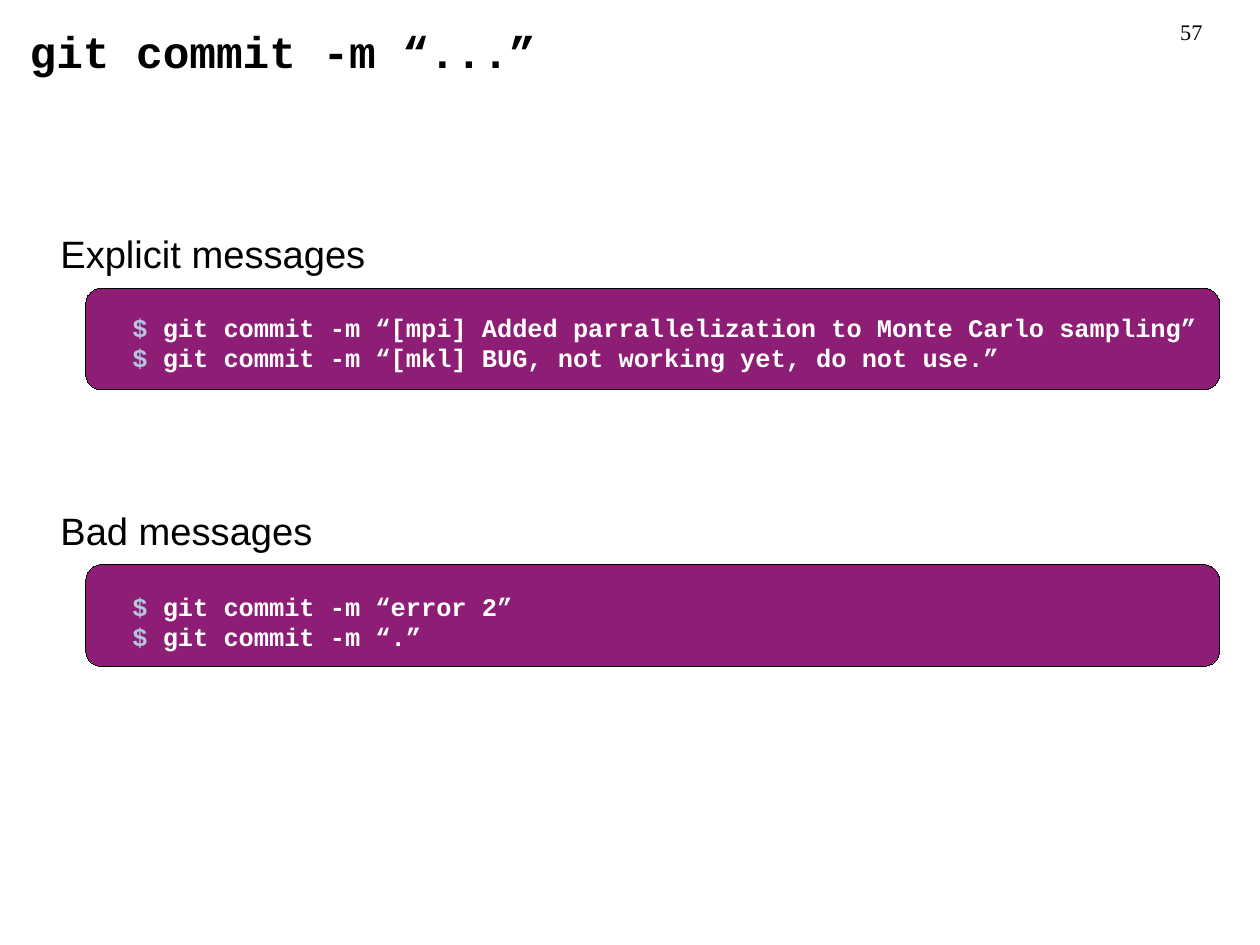
"""Build the slide on explicit and bad git commit messages."""
from pptx import Presentation
from pptx.dml.color import RGBColor
from pptx.enum.shapes import MSO_SHAPE as Shape
from pptx.enum.text import MSO_ANCHOR as Anchor, MSO_AUTO_SIZE as AutoSize, PP_ALIGN as Align
from pptx.util import Inches, Pt

BLACK = RGBColor(0x00, 0x00, 0x00)
WHITE = RGBColor(0xFF, 0xFF, 0xFF)
PURPLE = RGBColor(0x8D, 0x1D, 0x75)
PROMPT_BLUE = RGBColor(0xB4, 0xC7, 0xDC)
CM_PER_INCH = 2.54


def style(run, font_name, size, color, bold=False):
    run.font.name = font_name
    run.font.size = Pt(size)
    run.font.color.rgb = color
    run.font.bold = bold


def add_box(left, top, width, height):
    box = slide.shapes.add_textbox(Inches(left), Inches(top), Inches(width), Inches(height))
    box.text_frame.word_wrap = True
    return box.text_frame


prs = Presentation()
prs.slide_width = Inches(28 / CM_PER_INCH)
prs.slide_height = Inches(21 / CM_PER_INCH)
slide = prs.slides.add_slide(prs.slide_layouts[5])

title = slide.shapes.title
title.left, title.top = Inches(0.16), Inches(0.16)
title.width, title.height = Inches(6.3), Inches(1.42)
heading = title.text_frame
heading.text = "git commit -m “...”"
heading.auto_size = AutoSize.NONE
heading.vertical_anchor = Anchor.TOP
heading.paragraphs[0].alignment = Align.LEFT
style(heading.paragraphs[0].runs[0], "Courier New", 28, BLACK, True)

sections = [
    ("Explicit messages", 1.97, 2.52, 2.68, [
        "git commit -m “[mpi] Added parrallelization to Monte Carlo sampling”",
        "git commit -m “[mkl] BUG, not working yet, do not use.”",
    ]),
    ("Bad messages", 4.39, 4.94, 5.12, [
        "git commit -m “error 2”",
        "git commit -m “.”",
    ]),
]

for label, label_top, panel_top, code_top, commands in sections:
    panel = slide.shapes.add_shape(
        Shape.ROUNDED_RECTANGLE, Inches(0.75), Inches(panel_top), Inches(9.92), Inches(0.89))
    panel.adjustments[0] = 0.155
    panel.shadow.inherit = False
    panel.fill.solid()
    panel.fill.fore_color.rgb = PURPLE
    panel.line.color.rgb = BLACK
    panel.line.width = Pt(0.01)

    caption = add_box(0.43, label_top, 5.35, 0.84)
    caption.text = label
    style(caption.paragraphs[0].runs[0], "Arial", 24, BLACK)

    code = add_box(1.06, code_top, 9.57, 1.36)
    for index, command in enumerate(commands):
        line = code.add_paragraph() if index else code.paragraphs[0]
        for text, color in (("$ ", PROMPT_BLUE), (command, WHITE)):
            part = line.add_run()
            part.text = text
            style(part, "Courier New", 16, color, True)

page_number = add_box(7.95, 0.16, 2.57, 0.57)
page_number.margin_left = page_number.margin_right = 0
page_number.margin_top = page_number.margin_bottom = 0
page_number.text = "57"
page_number.paragraphs[0].alignment = Align.RIGHT
style(page_number.paragraphs[0].runs[0], "Times New Roman", 14, BLACK)

prs.save("out.pptx")
